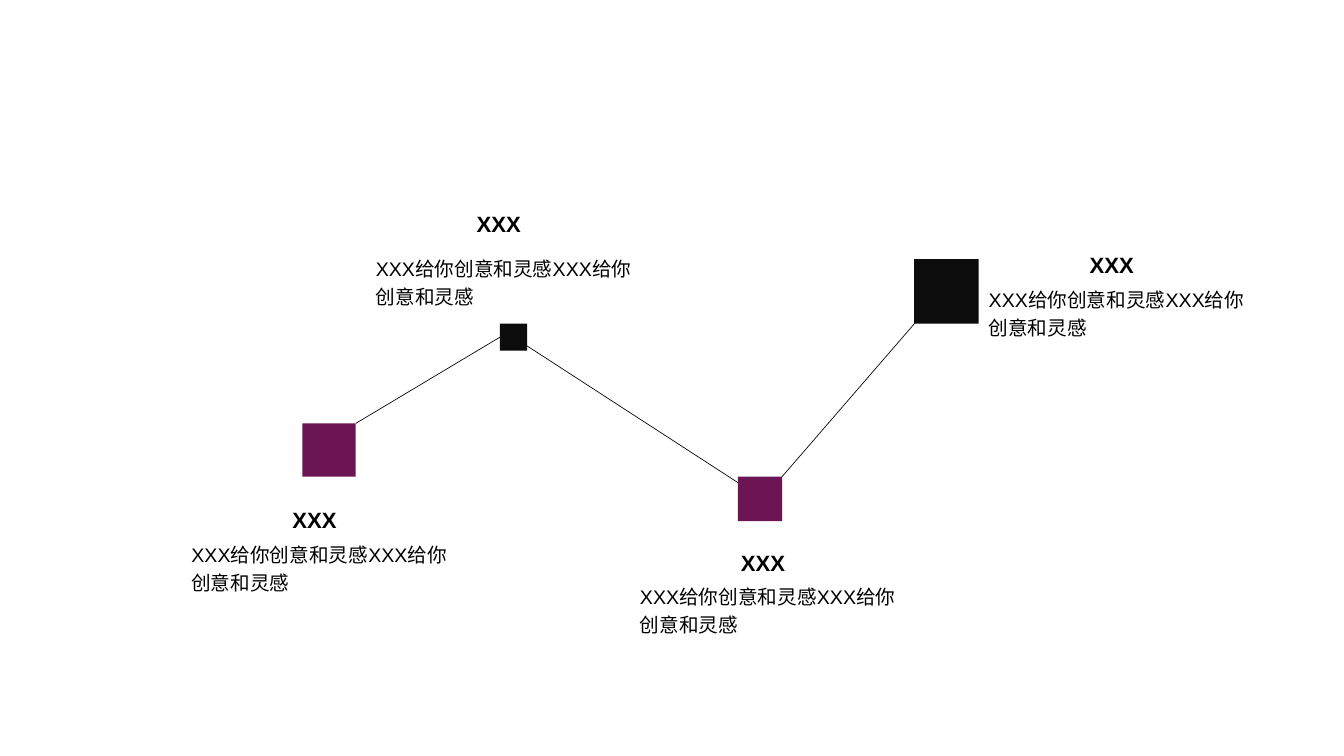
from lxml import etree
from pptx import Presentation
from pptx.dml.color import RGBColor
from pptx.enum.shapes import MSO_CONNECTOR as CONNECTOR, MSO_SHAPE as SHAPE
from pptx.enum.text import MSO_AUTO_SIZE as AUTO_SIZE, PP_ALIGN as ALIGN
from pptx.oxml.ns import qn
from pptx.util import Inches, Pt

PURPLE = RGBColor(0x6B, 0x15, 0x54)
DARK = RGBColor(0x0C, 0x0C, 0x0C)
BLACK = RGBColor(0x00, 0x00, 0x00)
FONT = "Arial"
HEADING = "XXX"
BODY = "XXX给你创意和灵感XXX给你创意和灵感"


def cells(*counts):
    """Turn counts of grid cells, 0.1 inch each, into lengths."""
    return [Inches(count / 10) for count in counts]


def add_text(slide, box, text, size):
    """Add a text box that grows with its text; return its frame."""
    frame = slide.shapes.add_textbox(*cells(*box)).text_frame
    frame.word_wrap = True
    frame.auto_size = AUTO_SIZE.SHAPE_TO_FIT_TEXT
    frame.text = text
    paragraph = frame.paragraphs[0]
    paragraph.line_spacing = 1.2
    paragraph.font.name = FONT
    paragraph.font.size = Pt(size)
    paragraph.font.color.rgb = BLACK
    return frame


presentation = Presentation()
presentation.slide_width, presentation.slide_height = cells(133.33, 75)
slide = presentation.slides.add_slide(presentation.slide_layouts[6])

# Connecting lines, behind the squares: start x, y, end x, y
connectors = []
for ends in [(35.3, 42, 49.6, 33.5), (51.8, 34, 73.7, 48.2), (76.8, 48.2, 92.2, 30.4)]:
    connector = slide.shapes.add_connector(CONNECTOR.STRAIGHT, *cells(*ends))
    connector.line.color.rgb = DARK
    connector.line.width = Pt(0.5)
    etree.SubElement(connector.element.spPr, qn("a:effectLst"))
    connectors.append(connector)

# Milestone squares: left, top, side, colour
squares = []
for left, top, side, color in [
    (30, 42, 5.3, PURPLE),
    (49.6, 32.1, 2.7, DARK),
    (73.2, 47.3, 4.4, PURPLE),
    (90.7, 25.7, 6.4, DARK),
]:
    square = slide.shapes.add_shape(SHAPE.RECTANGLE, *cells(left, top, side, side))
    square.shadow.inherit = False
    square.fill.solid()
    square.fill.fore_color.rgb = color
    square.line.fill.background()
    squares.append(square)
connectors[0].end_connect(squares[1], 1)

# Labels: left, heading top, body top
for left, heading_top, body_top in [
    (36.3, 20.4, 24.5),
    (18, 49.7, 52.9),
    (97.1, 24.4, 27.6),
    (62.5, 54, 57.1),
]:
    add_text(slide, (left, body_top, 28.2, 6.7), BODY, 14)
    heading = add_text(slide, (left + 4.2, heading_top, 18, 3), HEADING, 15.8)
    heading.margin_left = heading.margin_right = 0
    heading.margin_top = heading.margin_bottom = 0
    paragraph = heading.paragraphs[0]
    paragraph.alignment = ALIGN.CENTER
    paragraph.space_before = Pt(4)
    paragraph.font.bold = True

presentation.save("out.pptx")
